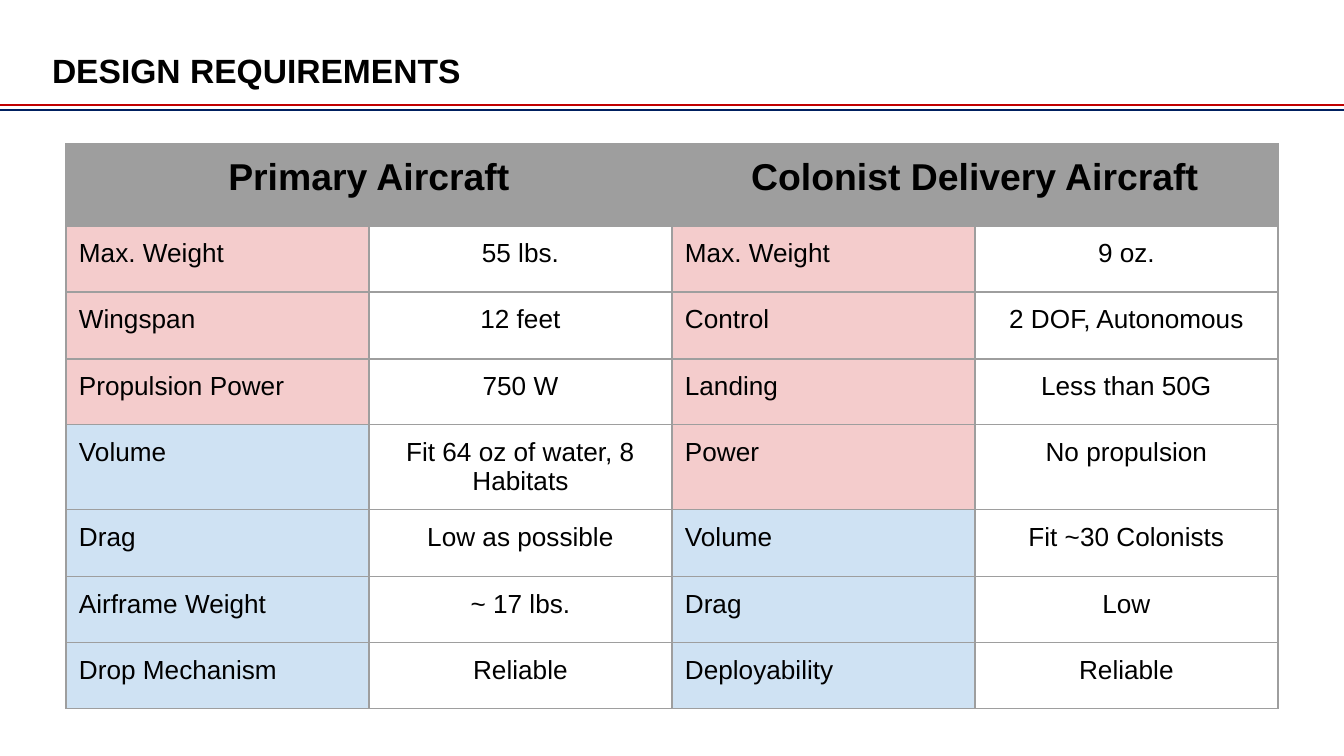
from lxml import etree
from pptx import Presentation
from pptx import util as u
from pptx.dml.color import RGBColor
from pptx.enum import shapes, text
from pptx.oxml.ns import qn

EMU_PER_PX = 914400 / 134.4
COLORS = {
    "ink": "000000",
    "red": "C00000",
    "navy": "002060",
    "grid": "9E9E9E",
    "pink": "F4CCCC",
    "blue": "CFE2F3",
}
LEFT, CENTER = text.PP_ALIGN.LEFT, text.PP_ALIGN.CENTER

HEADERS = ["Primary Aircraft", "Colonist Delivery Aircraft"]
REQUIREMENTS = [
    ("Max. Weight", "55 lbs.", "Max. Weight", "9 oz."),
    ("Wingspan", "12 feet", "Control", "2 DOF, Autonomous"),
    ("Propulsion Power", "750 W", "Landing", "Less than 50G"),
    ("Volume", "Fit 64 oz of water, 8 Habitats", "Power", "No propulsion"),
    ("Drag", "Low as possible", "Volume", "Fit ~30 Colonists"),
    ("Airframe Weight", "~ 17 lbs.", "Drag", "Low"),
    ("Drop Mechanism", "Reliable", "Deployability", "Reliable"),
]
PINK_ROWS = {0: 3, 2: 4}  # label column: number of pink rows before the blue ones
ROW_HEIGHTS = [82, 66, 67, 66, 85, 67, 66, 66]
COLUMN_WIDTH = 303


def px(length):
    return u.Emu(round(length * EMU_PER_PX))


def rgb(name):
    return RGBColor.from_string(COLORS[name])


def write(frame, words, size=14, bold=False, align=LEFT, spacing=None):
    frame.word_wrap = True
    paragraph = frame.paragraphs[0]
    paragraph.alignment = align
    paragraph.line_spacing = spacing
    run = paragraph.add_run()
    run.text = words
    run.font.name = "Arial"
    run.font.size = u.Pt(size)
    run.font.bold = bold
    run.font.color.rgb = rgb("ink")


class SlideBuilder:
    def __init__(self, deck):
        self.slide = deck.slides.add_slide(deck.slide_layouts[5])

    def title(self, words, x, y, width, height):
        title = self.slide.shapes.title
        title.left, title.top, title.width, title.height = map(px, (x, y, width, height))
        frame = title.text_frame
        frame.margin_left = frame.margin_right = px(10)
        frame.margin_top = frame.margin_bottom = px(10)
        frame.vertical_anchor = text.MSO_ANCHOR.MIDDLE
        frame.auto_size = text.MSO_AUTO_SIZE.NONE
        write(frame, words, size=18, bold=True, spacing=0.9)

    def rule(self, y, color):
        """Draw a line across the whole slide."""
        line = self.slide.shapes.add_connector(
            shapes.MSO_CONNECTOR.STRAIGHT, 0, px(y), px(1344), px(y))
        line.line.color.rgb = rgb(color)
        line.line.width = u.Pt(1.5)
        etree.SubElement(line._element.spPr, qn("a:effectLst"))

    def table(self, x, y, row_heights, columns, column_width):
        frame = self.slide.shapes.add_table(
            len(row_heights), columns, px(x), px(y),
            px(columns * column_width), px(sum(row_heights)))
        table = frame.table
        for row, height in zip(table.rows, row_heights):
            row.height = px(height)
        for column in table.columns:
            column.width = px(column_width)
        for cell in table.iter_cells():
            self.border(cell)
        return table

    def border(self, cell):
        properties = cell._tc.get_or_add_tcPr()
        for side in ("lnL", "lnR", "lnT", "lnB"):
            edge = etree.SubElement(properties, qn(f"a:{side}"), w=str(u.Pt(0.75)))
            fill = etree.SubElement(edge, qn("a:solidFill"))
            etree.SubElement(fill, qn("a:srgbClr"), val=COLORS["grid"])

    def cell(self, cell, words, fill=None, **style):
        cell.margin_left = cell.margin_right = px(13)
        cell.margin_top = cell.margin_bottom = px(13)
        cell.vertical_anchor = text.MSO_ANCHOR.TOP
        if fill:
            cell.fill.solid()
            cell.fill.fore_color.rgb = rgb(fill)
        else:
            cell.fill.background()
        write(cell.text_frame, words, **style)


def main():
    deck = Presentation()
    deck.slide_width, deck.slide_height = px(1344), px(756)
    builder = SlideBuilder(deck)
    builder.rule(105, "red")
    builder.rule(110, "navy")
    builder.title("DESIGN REQUIREMENTS", 42, 42, 1052, 62)

    table = builder.table(66, 144, ROW_HEIGHTS, 4, COLUMN_WIDTH)
    for index, header in enumerate(HEADERS):
        heading = table.cell(0, 2 * index)
        heading.merge(table.cell(0, 2 * index + 1))
        builder.cell(heading, header, "grid", size=20, bold=True, align=CENTER)
    for row, entries in enumerate(REQUIREMENTS):
        for column, entry in enumerate(entries):
            cell = table.cell(row + 1, column)
            if column in PINK_ROWS:
                builder.cell(cell, entry, "pink" if row < PINK_ROWS[column] else "blue")
            else:
                builder.cell(cell, entry, align=CENTER)
    deck.save("out.pptx")


if __name__ == "__main__":
    main()
